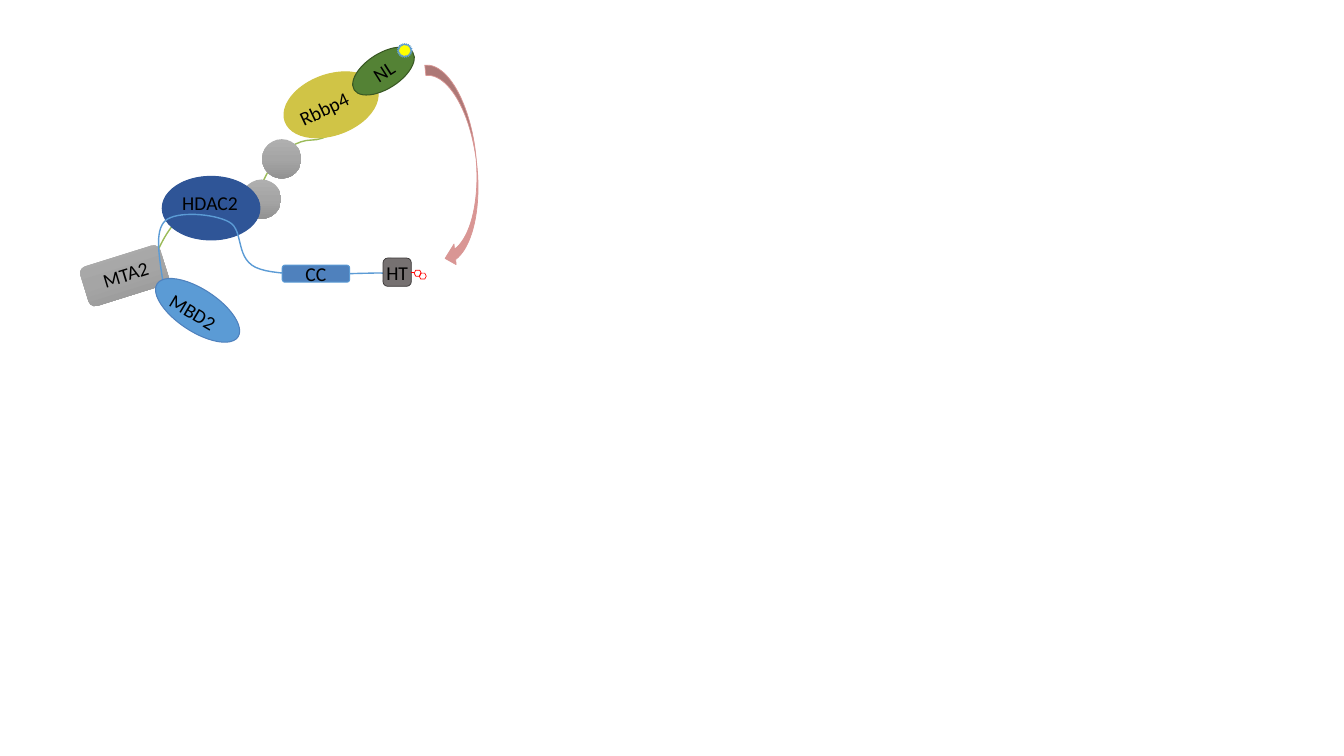
from dataclasses import dataclass

from lxml.etree import SubElement
from pptx import Presentation
from pptx.dml.color import RGBColor
from pptx.enum.shapes import MSO_CONNECTOR, MSO_SHAPE
from pptx.enum.text import MSO_ANCHOR, MSO_AUTO_SIZE, PP_ALIGN
from pptx.oxml.ns import qn
from pptx.util import Pt


@dataclass(frozen=True)
class Theme:
    """Colours, font and type size of the slide."""
    font: str = "Calibri"
    size: float = 14
    text: str = "000000"
    arrow: str = "D99694"
    chain: str = "9BBB59"
    hdac: str = "2F5597"
    rbbp: str = "D0C446"
    light_blue: str = "5B9BD5"
    blue: str = "4F81BD"
    tag: str = "767171"
    tag_line: str = "3B3838"
    ligand: str = "FF0000"
    luciferase: str = "548235"
    luciferase_line: str = "385723"
    star: str = "FFFF00"
    greys: tuple = ((0, "AFAFAF"), (50, "A5A5A5"), (100, "939393"))


THEME = Theme()


class Region:
    """A group whose parts are placed relative to its origin, in points."""

    def __init__(self, slide, left, top):
        self.left, self.top = left, top
        self.shapes = slide.shapes.add_group_shape().shapes

    def point(self, x, y):
        """Convert a point of the region to slide lengths."""
        return Pt(self.left + x), Pt(self.top + y)

    def shape(self, kind, box, fill=None, line=None, weight=0.75, rotation=0):
        """Add a preset shape with a solid fill, grey gradient or no fill."""
        left, top, width, height = box
        shape = self.shapes.add_shape(kind, *self.point(left, top), Pt(width), Pt(height))
        shape.shadow.inherit = False
        shape.rotation = rotation
        if fill is None:
            shape.fill.background()
        elif isinstance(fill, tuple):
            shade(shape, fill)
        else:
            shape.fill.solid()
            shape.fill.fore_color.rgb = RGBColor.from_string(fill)
        set_line(shape, line, weight)
        return shape

    def label(self, text, box, rotation=0):
        """Add an unwrapped text label."""
        left, top, width, height = box
        label = self.shapes.add_textbox(*self.point(left, top), Pt(width), Pt(height))
        label.rotation = rotation
        label.text_frame.word_wrap = False
        label.text_frame.auto_size = MSO_AUTO_SIZE.SHAPE_TO_FIT_TEXT
        add_run(label.text_frame.paragraphs[0], text)

    def curve(self, points, color, steps=16):
        """Draw a chain of cubic curves as an open outline."""
        vertices = [points[0]]
        for first in range(0, len(points) - 1, 3):
            segment = points[first:first + 4]
            vertices += [bezier(segment, step / steps) for step in range(1, steps + 1)]
        builder = self.shapes.build_freeform(*self.point(*vertices[0]))
        builder.add_line_segments([self.point(*vertex) for vertex in vertices[1:]], close=False)
        outline = builder.convert_to_shape()
        outline.shadow.inherit = False
        outline.fill.background()
        set_line(outline, color, 1)

    def connector(self, kind, begin, end, color, weight):
        """Add a connector without a shadow."""
        connector = self.shapes.add_connector(kind, *self.point(*begin), *self.point(*end))
        set_line(connector, color, weight)
        SubElement(connector._element.spPr, qn("a:effectLst"))
        return connector


def bezier(segment, t):
    """Return the point at t on a cubic curve."""
    weights = ((1 - t) ** 3, 3 * t * (1 - t) ** 2, 3 * t * t * (1 - t), t ** 3)
    return tuple(sum(w * p[axis] for w, p in zip(weights, segment)) for axis in (0, 1))


def set_line(shape, color, weight):
    """Set the outline colour and weight, or remove the outline."""
    if color is None:
        shape.line.fill.background()
    else:
        shape.line.color.rgb = RGBColor.from_string(color)
        shape.line.width = Pt(weight)


def shade(shape, stops):
    """Fill a shape with a downward gradient."""
    shape.fill.gradient()
    shape.fill.gradient_angle = 270
    stop_list = next(shape._element.spPr.iter(qn("a:gsLst")))
    for stop in list(stop_list):
        stop_list.remove(stop)
    for position, color in stops:
        stop = SubElement(stop_list, qn("a:gs"), pos=str(position * 1000))
        SubElement(stop, qn("a:srgbClr"), val=color)


def add_run(paragraph, text):
    """Add a run in the theme's type."""
    run = paragraph.add_run()
    run.text = text
    run.font.name = THEME.font
    run.font.size = Pt(THEME.size)
    run.font.color.rgb = RGBColor.from_string(THEME.text)


def caption(shape, text, side=0, end=0):
    """Centre text inside a shape."""
    frame = shape.text_frame
    frame.word_wrap = True
    frame.vertical_anchor = MSO_ANCHOR.MIDDLE
    frame.margin_left = frame.margin_right = Pt(side)
    frame.margin_top = frame.margin_bottom = Pt(end)
    frame.paragraphs[0].alignment = PP_ALIGN.CENTER
    add_run(frame.paragraphs[0], text)


def draw_complex(slide, left, top):
    """Draw the protein complex with its energy transfer arrow."""
    region = Region(slide, left, top)
    oval, rounded = MSO_SHAPE.OVAL, MSO_SHAPE.ROUNDED_RECTANGLE

    region.shape(MSO_SHAPE.CURVED_LEFT_ARROW, (253.4, 15.8, 29.5, 146.2),
                 THEME.arrow, THEME.arrow, 0.5, 354)
    region.curve([(54.7, 151.2), (59, 141.8), (64.1, 132.5), (72, 126), (79.9, 118.8),
                  (92.9, 112.3), (103.7, 110.9), (114.5, 110.2), (131, 117.4),
                  (136.8, 118.1)], THEME.chain)
    chain = region.connector(MSO_CONNECTOR.CURVE, (221, 111.6), (108.7, 31), THEME.chain, 1)
    chain._element.spPr.find(qn("a:xfrm")).set("rot", str(90 * 60000))

    region.shape(oval, (115.2, 99.4, 28.1, 28.1), THEME.greys)
    region.shape(oval, (58.3, 97.2, 69.8, 45.4), THEME.hdac, THEME.hdac)
    region.shape(rounded, (1.4, 153.4, 59.8, 29.5), THEME.greys, rotation=342.6)
    region.shape(oval, (144, 24.5, 69.8, 43.2), THEME.rbbp, THEME.rbbp, rotation=340)
    region.label("Rbbp4", (148.3, 36.7, 51.8, 24.5), 334.5)
    region.label("MTA2", (8.6, 154.8, 48.2, 24.5), 343.1)
    region.curve([(59, 173.5), (56.2, 154.8), (52.6, 136.1), (60.5, 128.9), (68.4, 121.7),
                  (95, 123.8), (105.8, 129.6), (117.4, 135.4), (109.4, 157.7),
                  (128.2, 163.4), (146.9, 169.9), (203, 165.6), (217.4, 166.3)],
                 THEME.light_blue)
    coil = region.shape(rounded, (144, 160.6, 48.2, 12.2), THEME.blue, THEME.light_blue)
    caption(coil, "CC", 7.2, 3.6)
    region.shape(oval, (49, 177.8, 69.1, 30.2), THEME.light_blue, THEME.blue, rotation=33.3)
    region.label("MBD2", (55.4, 182.2, 50.4, 24.5), 30.9)
    region.shape(oval, (129.6, 70.6, 28.1, 28.1), THEME.greys)
    region.label("HDAC2", (65.5, 103.7, 54.7, 24.5))

    tag = region.shape(rounded, (216, 155.5, 20.2, 20.2), THEME.tag, THEME.tag_line, 0.5)
    caption(tag, "HT")
    for ring_left, ring_top in ((238.3, 164.2), (241.9, 166.3)):
        region.shape(MSO_SHAPE.HEXAGON, (ring_left, ring_top, 5, 4.3), None, THEME.ligand, 0.5)
    bond = region.connector(MSO_CONNECTOR.STRAIGHT, (238.3, 165.6), (236.2, 165.6),
                            THEME.ligand, 0.75)
    bond.end_connect(tag, 3)

    luciferase = region.shape(oval, (191.5, 9.4, 49.7, 25.2), THEME.luciferase,
                              THEME.luciferase_line, rotation=327.4)
    caption(luciferase, "NL")
    region.shape(MSO_SHAPE.STAR_24_POINT, (226.1, 2.2, 10.8, 10.1),
                 THEME.star, THEME.light_blue, 0.5)


def main():
    """Build and save the slide."""
    presentation = Presentation()
    presentation.slide_width, presentation.slide_height = Pt(960), Pt(540)
    slide = presentation.slides.add_slide(presentation.slide_layouts[6])
    draw_complex(slide, 57.6, 28.8)
    presentation.save("out.pptx")


if __name__ == "__main__":
    main()
